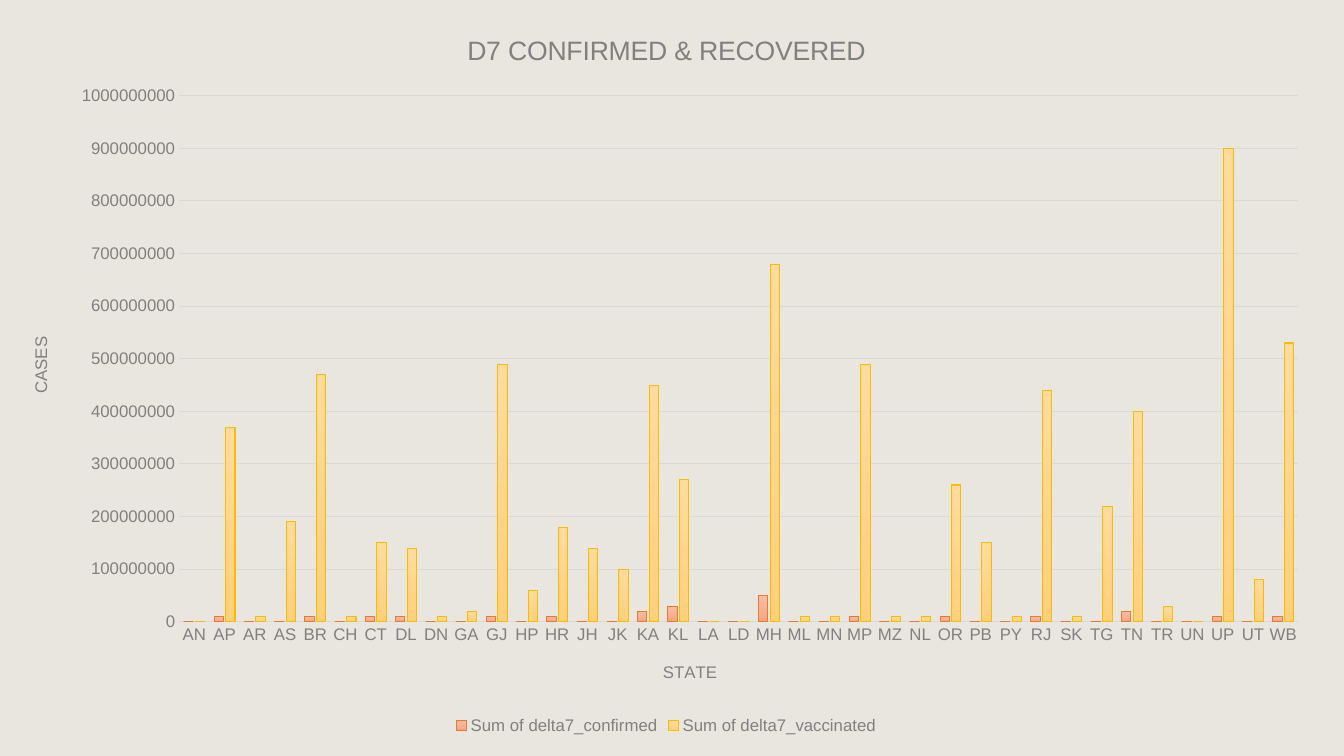
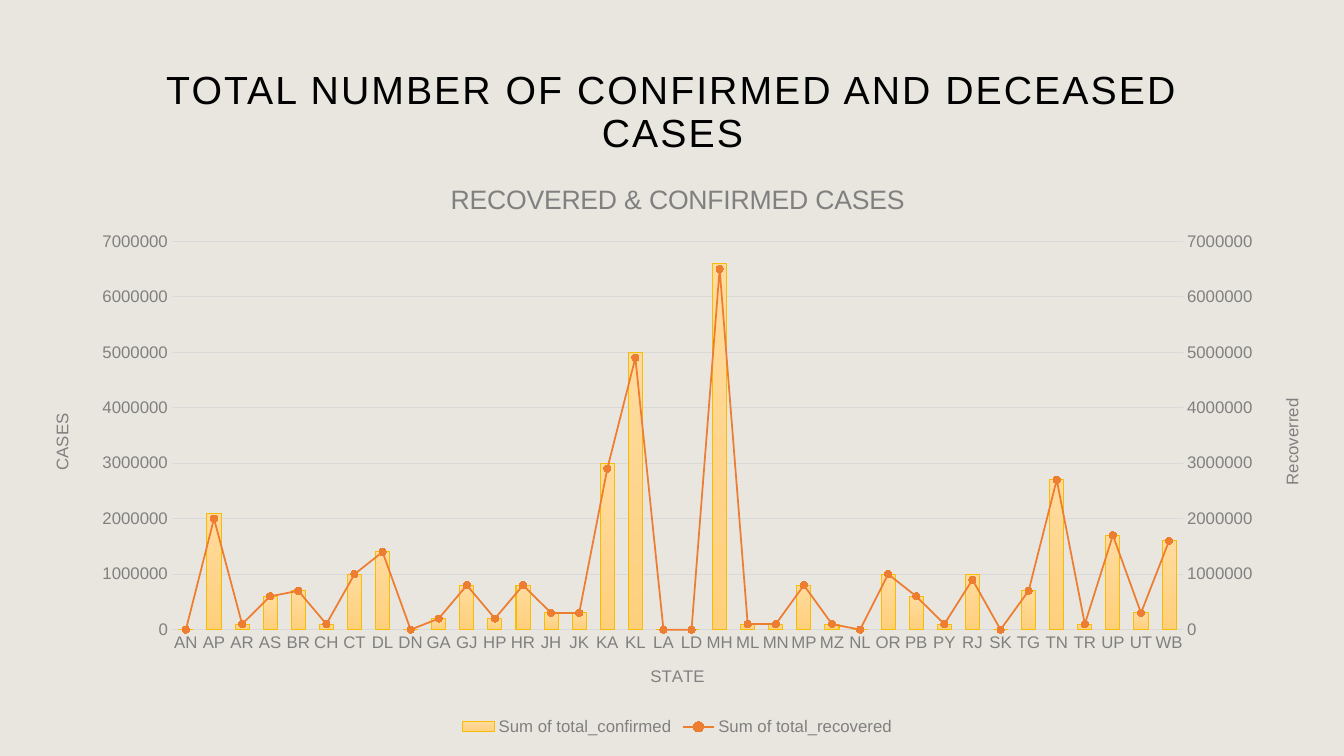
"""Build two slides that chart case counts by state."""
import copy

import pptx
import pptx.chart.data
import pptx.dml.color
import pptx.enum.chart
import pptx.enum.text
import pptx.oxml
import pptx.oxml.ns
import pptx.util

Inches = pptx.util.Inches
Pt = pptx.util.Pt
RGBColor = pptx.dml.color.RGBColor
qn = pptx.oxml.ns.qn
chart_enum = pptx.enum.chart

BACKGROUND = RGBColor(0xE9, 0xE6, 0xDF)
BLACK = RGBColor(0x00, 0x00, 0x00)
GREY = RGBColor(0x80, 0x80, 0x80)
GRID = RGBColor(0xD9, 0xD9, 0xD9)
ORANGE = RGBColor(0xED, 0x7D, 0x31)
ORANGE_BAR = (RGBColor(0xF7, 0xBD, 0xA5), RGBColor(0xF8, 0xA5, 0x82), RGBColor(0xE8, 0x7A, 0x30))
YELLOW_BAR = (RGBColor(0xFF, 0xDB, 0x9E), RGBColor(0xFF, 0xD0, 0x7C), RGBColor(0xF9, 0xBC, 0x00))
FONT = "Arial"
CHART_NS = 'xmlns:c="http://schemas.openxmlformats.org/drawingml/2006/chart"'

STATES = (
    "AN AP AR AS BR CH CT DL DN GA GJ HP HR JH JK KA KL LA LD "
    "MH ML MN MP MZ NL OR PB PY RJ SK TG TN TR UN UP UT WB"
).split()
WEEK_CONFIRMED = [0, 1, 0, 0, 1, 0, 1, 1, 0, 0, 1, 0, 1, 0, 0, 2, 3, 0, 0,
                  5, 0, 0, 1, 0, 0, 1, 0, 0, 1, 0, 0, 2, 0, 0, 1, 0, 1]
WEEK_VACCINATED = [0, 37, 1, 19, 47, 1, 15, 14, 1, 2, 49, 6, 18, 14, 10, 45, 27, 0, 0,
                   68, 1, 1, 49, 1, 1, 26, 15, 1, 44, 1, 22, 40, 3, 0, 90, 8, 53]
TOTAL_CONFIRMED = [0, 21, 1, 6, 7, 1, 10, 14, 0, 2, 8, 2, 8, 3, 3, 30, 50, 0, 0,
                   66, 1, 1, 8, 1, 0, 10, 6, 1, 10, 0, 7, 27, 1, 17, 3, 16]
TOTAL_RECOVERED = [0, 20, 1, 6, 7, 1, 10, 14, 0, 2, 8, 2, 8, 3, 3, 29, 49, 0, 0,
                   65, 1, 1, 8, 1, 0, 10, 6, 1, 9, 0, 7, 27, 1, 17, 3, 16]


def write_text(frame, text, size=12, color=GREY, spacing=0, line_spacing=None, rotation=0):
    """Put one centred run of text in a frame."""
    para = frame.paragraphs[0]
    para.alignment = pptx.enum.text.PP_ALIGN.CENTER
    para.line_spacing = line_spacing
    span = para.add_run()
    span.text = text
    span.font.size = Pt(size)
    span.font.bold = False
    span.font.name = FONT
    span.font.color.rgb = color
    if spacing:
        span.font._element.set("spc", str(int(spacing * 100)))
    if rotation:
        body = frame._txBody.find(qn("a:bodyPr"))
        body.set("rot", str(rotation * 60000))
        body.set("vert", "horz")


def add_state_chart(page, title, place, plot_place, states, series, scale, top, step, overlap):
    """Add a column chart by state in the shared style."""
    data = pptx.chart.data.CategoryChartData(number_format="0")
    data.categories = states
    for name, counts, palette in series:
        data.add_series(name, [count * scale for count in counts])
    chart = page.shapes.add_chart(
        chart_enum.XL_CHART_TYPE.COLUMN_CLUSTERED, *map(Inches, place), data).chart
    chart.font.size = Pt(12)
    chart.font.name = FONT
    chart.font.color.rgb = GREY
    chart.has_title = True
    write_text(chart.chart_title.text_frame, title, size=19)
    chart.chart_title.include_in_layout = False
    chart.has_legend = True
    chart.legend.position = chart_enum.XL_LEGEND_POSITION.BOTTOM
    chart.legend.include_in_layout = False

    plot = chart.plots[0]
    plot.gap_width = 100
    plot.overlap = overlap
    plot.vary_by_categories = False
    for bars, (name, counts, palette) in zip(plot.series, series):
        start, end, outline = palette
        bars.format.fill.gradient()
        bars.format.fill.gradient_angle = 270
        for stop, color in zip(bars.format.fill.gradient_stops, (start, end)):
            stop.color.rgb = color
        bars.format.line.color.rgb = outline
        bars.format.line.width = Pt(0.75)

    for axis, label, rotation in ((chart.category_axis, "STATE", 0), (chart.value_axis, "CASES", -90)):
        axis.major_tick_mark = chart_enum.XL_TICK_MARK.NONE
        axis.minor_tick_mark = chart_enum.XL_TICK_MARK.NONE
        write_text(axis.axis_title.text_frame, label, rotation=rotation)
        axis.tick_labels.font.size = Pt(12)
        axis.tick_labels.font.color.rgb = GREY
        axis._element.find(qn("c:txPr")).find(qn("a:bodyPr")).set("rot", "-60000000")
    chart.category_axis.format.line.color.rgb = GRID
    chart.category_axis.format.line.width = Pt(0.75)
    values = chart.value_axis
    values.format.line.fill.background()
    values.minimum_scale = 0
    values.maximum_scale = top
    values.major_unit = step
    values.tick_labels.number_format = "0"
    values.tick_labels.number_format_is_linked = False
    values.has_major_gridlines = True
    values.major_gridlines.format.line.color.rgb = GRID
    values.major_gridlines.format.line.width = Pt(0.75)

    area = chart._chartSpace.chart.plotArea
    for old_layout in area.findall(qn("c:layout")):
        area.remove(old_layout)
    marks = "".join(f'<c:{side} val="{share}"/>' for side, share in zip("xywh", plot_place))
    area.insert(0, pptx.oxml.parse_xml(
        f'<c:layout {CHART_NS}><c:manualLayout><c:layoutTarget val="inner"/>'
        f'<c:xMode val="edge"/><c:yMode val="edge"/>{marks}</c:manualLayout></c:layout>'))
    return chart


deck = pptx.Presentation()
deck.slide_width = Inches(13.33)
deck.slide_height = Inches(7.5)
pages = []
for number in range(2):
    page = deck.slides.add_slide(deck.slide_layouts[6])
    page.background.fill.solid()
    page.background.fill.fore_color.rgb = BACKGROUND
    pages.append(page)
week_page, total_page = pages

add_state_chart(
    week_page, "D7 CONFIRMED & RECOVERED", (0.08, 0.08, 13.06, 7.25), (0.13, 0.12, 0.85, 0.72), STATES,
    [("Sum of delta7_confirmed", WEEK_CONFIRMED, ORANGE_BAR),
     ("Sum of delta7_vaccinated", WEEK_VACCINATED, YELLOW_BAR)],
    scale=10_000_000, top=1_000_000_000, step=100_000_000, overlap=-24)

box = total_page.shapes.add_textbox(Inches(0.92), Inches(0.4), Inches(11.5), Inches(1.45))
box.text_frame.word_wrap = True
box.text_frame.vertical_anchor = pptx.enum.text.MSO_ANCHOR.MIDDLE
write_text(box.text_frame, "TOTAL NUMBER OF CONFIRMED AND DECEASED CASES",
           size=28, color=BLACK, spacing=1.5, line_spacing=0.9)

total_chart = add_state_chart(
    total_page, "RECOVERED & CONFIRMED CASES", (0.29, 1.59, 12.86, 5.75), (0.11, 0.14, 0.78, 0.67),
    [state for state in STATES if state != "UN"],
    [("Sum of total_confirmed", TOTAL_CONFIRMED, YELLOW_BAR),
     ("Sum of total_recovered", TOTAL_RECOVERED, ORANGE_BAR)],
    scale=100_000, top=7_000_000, step=1_000_000, overlap=0)

area = total_chart._chartSpace.chart.plotArea
bar_plot = area.find(qn("c:barChart"))
recovered = bar_plot.findall(qn("c:ser"))[1]
for tag in ("c:invertIfNegative", "c:spPr"):
    for bar_setting in recovered.findall(qn(tag)):
        recovered.remove(bar_setting)
line_plot = pptx.oxml.parse_xml(
    f'<c:lineChart {CHART_NS}><c:grouping val="standard"/><c:varyColors val="0"/>'
    '<c:marker val="1"/><c:axId val="501"/><c:axId val="502"/></c:lineChart>')
line_plot.insert(2, recovered)
bar_plot.addnext(line_plot)

right_axis = copy.deepcopy(total_chart.value_axis._element)
hidden_axis = copy.deepcopy(total_chart.category_axis._element)
for axis, own, other in ((right_axis, "502", "501"), (hidden_axis, "501", "502")):
    axis.find(qn("c:axId")).set("val", own)
    axis.find(qn("c:crossAx")).set("val", other)
right_axis.remove(right_axis.find(qn("c:majorGridlines")))
right_axis.find(qn("c:axPos")).set("val", "r")
right_axis.find(qn("c:crosses")).set("val", "max")
next(right_axis.iter(qn("a:t"))).text = "Recoverred"
hidden_axis.remove(hidden_axis.find(qn("c:title")))
hidden_axis.find(qn("c:delete")).set("val", "1")
total_chart.value_axis._element.addnext(right_axis)
right_axis.addnext(hidden_axis)

recovered_line = total_chart.plots[1].series[0]
recovered_line.smooth = False
recovered_line.format.line.color.rgb = ORANGE
recovered_line.format.line.width = Pt(1.25)
recovered_line.marker.style = chart_enum.XL_MARKER_STYLE.CIRCLE
recovered_line.marker.size = 5
recovered_line.marker.format.fill.solid()
recovered_line.marker.format.fill.fore_color.rgb = ORANGE
recovered_line.marker.format.line.color.rgb = ORANGE

deck.save("out.pptx")
